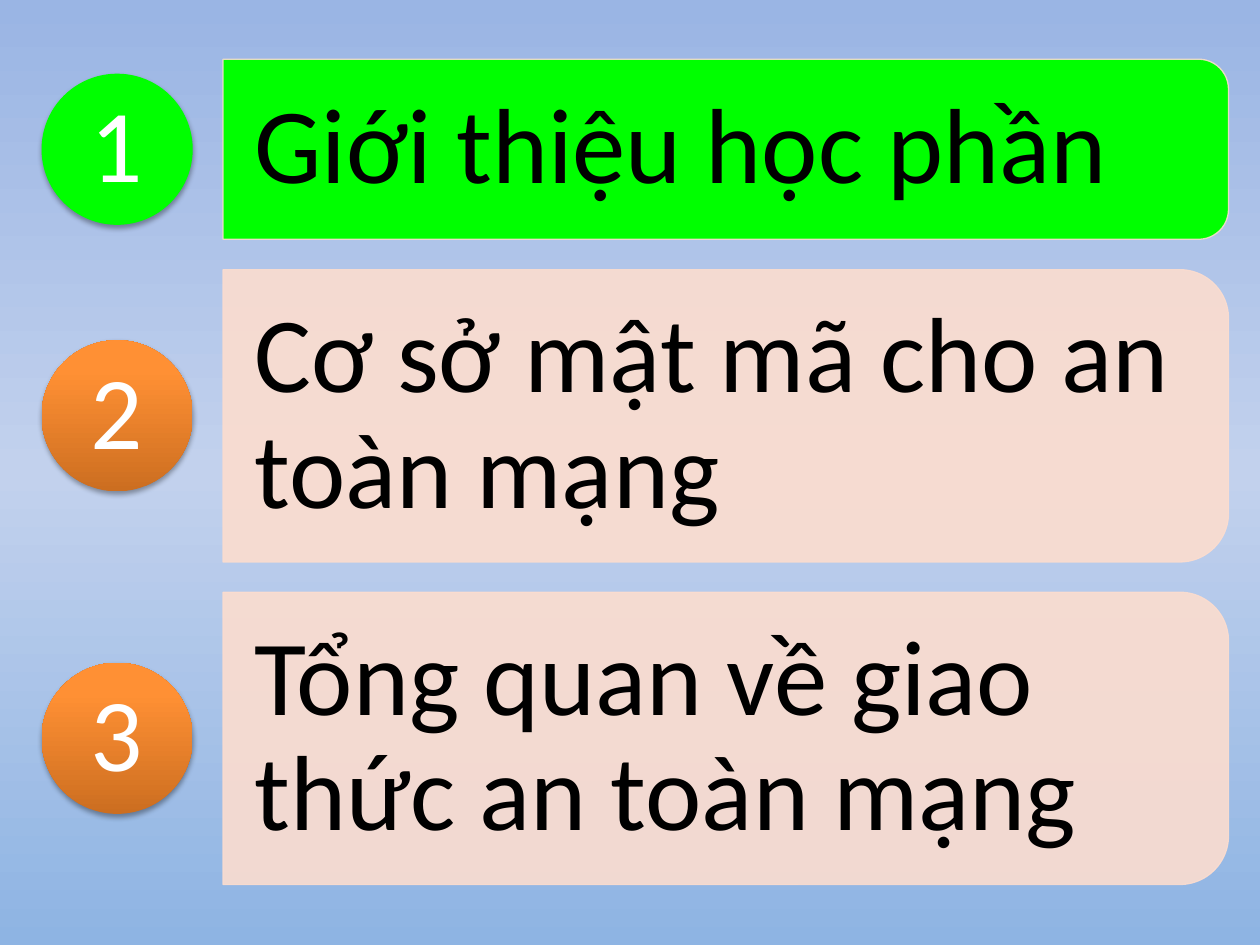
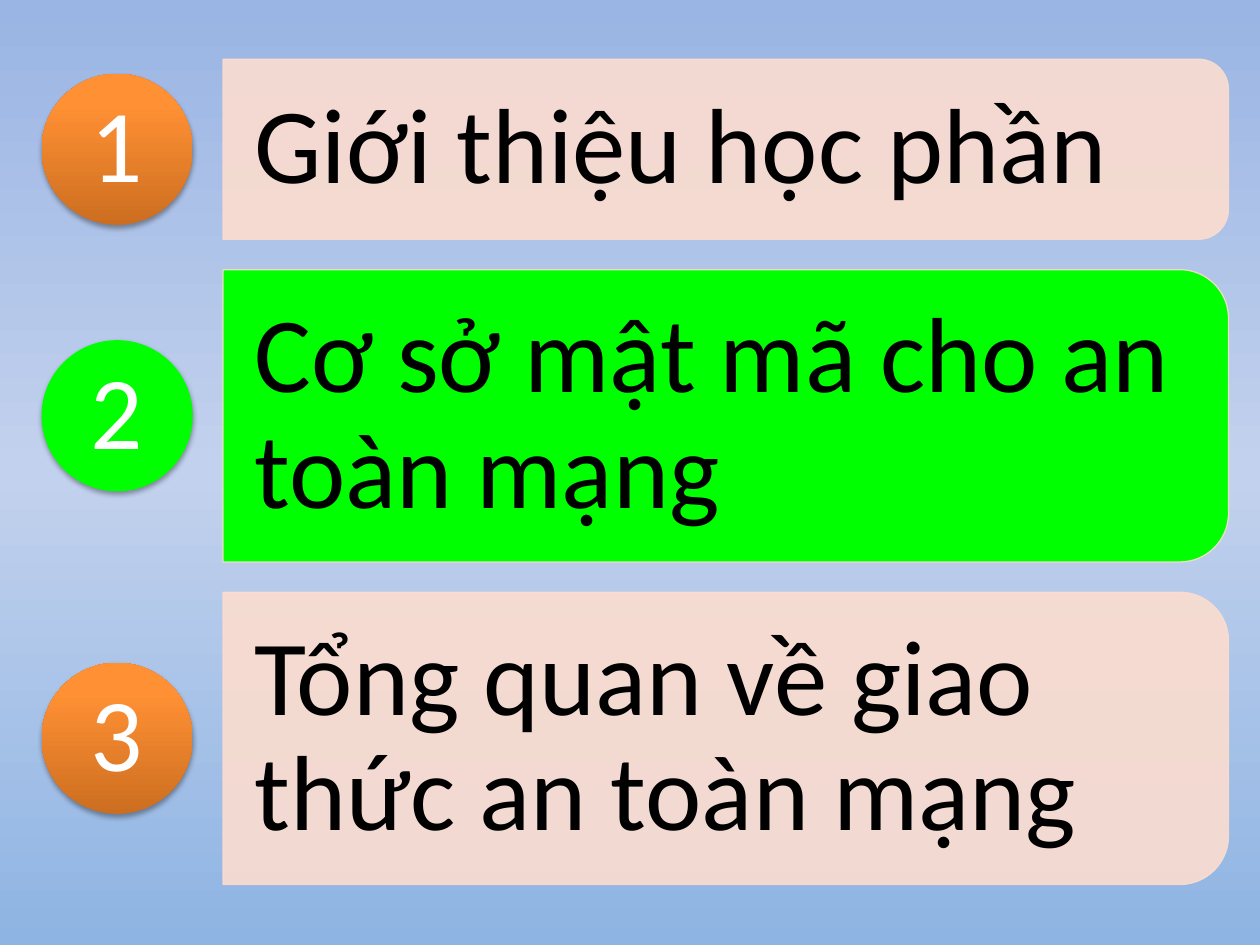
from dataclasses import dataclass

from lxml.etree import SubElement
from pptx import Presentation
from pptx.dml.color import RGBColor
from pptx.dml.fill import FillFormat
from pptx.enum.shapes import MSO_SHAPE as Preset
from pptx.enum.text import MSO_ANCHOR as Anchor, PP_ALIGN as Align
from pptx.oxml.ns import qn
from pptx.oxml.xmlchemy import BaseOxmlElement as Element
from pptx.slide import Slide
from pptx.text.text import TextFrame
from pptx.util import Inches, Pt

Stops = tuple[tuple[int, str], ...]


@dataclass(frozen=True)
class Theme:
    font: str = "Calibri"
    topic_size: int = 61
    number_size: int = 59
    topic_text: str = "000000"
    number_text: str = "FFFFFF"
    current: str = "00FF00"
    bar: str = "FCDDCF"
    bar_opacity: int = 90
    bar_line: float = 0.75
    shadow: str = "000000"
    shadow_opacity: int = 35
    sky: Stops = ((0, "9AB5E4"), (50, "C2D1ED"), (100, "8EB4E3"))
    disc: Stops = ((0, "CC6E20"), (80, "FF9034"), (100, "FF9136"))


@dataclass(frozen=True)
class Topic:
    number: int
    title: str
    height: float


THEME = Theme()
TOPICS = (
    Topic(1, "Giới thiệu học phần", 1.43),
    Topic(2, "Cơ sở mật mã cho an toàn mạng", 2.32),
    Topic(3, "Tổng quan về giao thức an toàn mạng", 2.32),
)
FIRST_TOP, GAP = 0.47, 0.24
BAR_LEFT, BAR_WIDTH = 1.77, 7.98
DISC_LEFT, DISC_SIZE = 0.33, 1.2
CORNER_INSET = 0.29 / 6  # share of a bar's height taken by its rounded corner


def set_opacity(color: Element, percent: int) -> None:
    SubElement(color, qn("a:alpha"), val=str(percent * 1000))


def fill_gradient(fill: FillFormat, owner: Element, stops: Stops, angle: int) -> None:
    """Fill with any number of stops; the angle runs counter-clockwise."""
    fill.gradient()
    fill.gradient_angle = angle
    stop_list = owner.find(".//" + qn("a:gsLst"))
    stop_list.clear()
    for position, color in stops:
        stop = SubElement(stop_list, qn("a:gs"), pos=str(position * 1000))
        SubElement(stop, qn("a:srgbClr"), val=color)


def write(frame: TextFrame, text: str, *, size: int, color: str,
          align: Align = Align.LEFT, margin_x: float = 0, margin_y: float = 0) -> None:
    frame.word_wrap = True
    frame.vertical_anchor = Anchor.MIDDLE
    frame.margin_left = frame.margin_right = Inches(margin_x)
    frame.margin_top = frame.margin_bottom = Inches(margin_y)
    paragraph = frame.paragraphs[0]
    paragraph.alignment = align
    paragraph.line_spacing = 0.9
    run = paragraph.add_run()
    run.text = text
    run.font.name = THEME.font
    run.font.size = Pt(size)
    run.font.color.rgb = RGBColor.from_string(color)


def add_bar(slide: Slide, topic: Topic, top: float, is_current: bool) -> None:
    """Draw a bar rounded on the right: a top-rounded box turned by 90 degrees."""
    turn = (BAR_WIDTH - topic.height) / 2
    bar = slide.shapes.add_shape(
        Preset.ROUND_2_SAME_RECTANGLE, Inches(BAR_LEFT + turn), Inches(top - turn),
        Inches(topic.height), Inches(BAR_WIDTH))
    bar.rotation = 90
    bar.shadow.inherit = False
    bar.fill.solid()
    bar.fill.fore_color.rgb = RGBColor.from_string(THEME.current if is_current else THEME.bar)
    bar.line.width = Pt(THEME.bar_line)
    bar.line.color.rgb = RGBColor.from_string(THEME.bar)
    fill_color, line_color = bar._element.spPr.iter(qn("a:srgbClr"))
    set_opacity(line_color, THEME.bar_opacity)
    if not is_current:
        set_opacity(fill_color, THEME.bar_opacity)

    inset = topic.height * CORNER_INSET
    title = slide.shapes.add_textbox(
        Inches(BAR_LEFT), Inches(top + inset),
        Inches(BAR_WIDTH - inset), Inches(topic.height - 2 * inset))
    write(title.text_frame, topic.title, size=THEME.topic_size, color=THEME.topic_text,
          margin_x=0.25, margin_y=0.17)


def add_disc(slide: Slide, topic: Topic, top: float, is_current: bool) -> None:
    disc = slide.shapes.add_shape(
        Preset.OVAL, Inches(DISC_LEFT), Inches(top + (topic.height - DISC_SIZE) / 2),
        Inches(DISC_SIZE), Inches(DISC_SIZE))
    if is_current:
        disc.fill.solid()
        disc.fill.fore_color.rgb = RGBColor.from_string(THEME.current)
    else:
        fill_gradient(disc.fill, disc._element, THEME.disc, 90)
    disc.line.fill.background()
    add_shadow(disc)
    write(disc.text_frame, str(topic.number), size=THEME.number_size,
          color=THEME.number_text, align=Align.CENTER)


def add_shadow(shape) -> None:
    shape.shadow.inherit = False
    effects = shape._element.spPr.find(qn("a:effectLst"))
    shadow = SubElement(effects, qn("a:outerShdw"), blurRad=str(Pt(3.1)),
                        dist=str(Pt(1.8)), dir="5400000", rotWithShape="0")
    set_opacity(SubElement(shadow, qn("a:srgbClr"), val=THEME.shadow), THEME.shadow_opacity)


def add_agenda(deck, current: int) -> None:
    """Add the list of topics with the current one highlighted."""
    slide = deck.slides.add_slide(deck.slide_layouts[6])
    fill_gradient(slide.background.fill, slide._element, THEME.sky, 270)
    top = FIRST_TOP
    for topic in TOPICS:
        is_current = topic.number == current
        add_bar(slide, topic, top, is_current)
        add_disc(slide, topic, top, is_current)
        top += topic.height + GAP


def main() -> None:
    deck = Presentation()
    deck.slide_width, deck.slide_height = Inches(10), Inches(7.5)
    for current in (1, 2):
        add_agenda(deck, current)
    deck.save("out.pptx")


if __name__ == "__main__":
    main()
